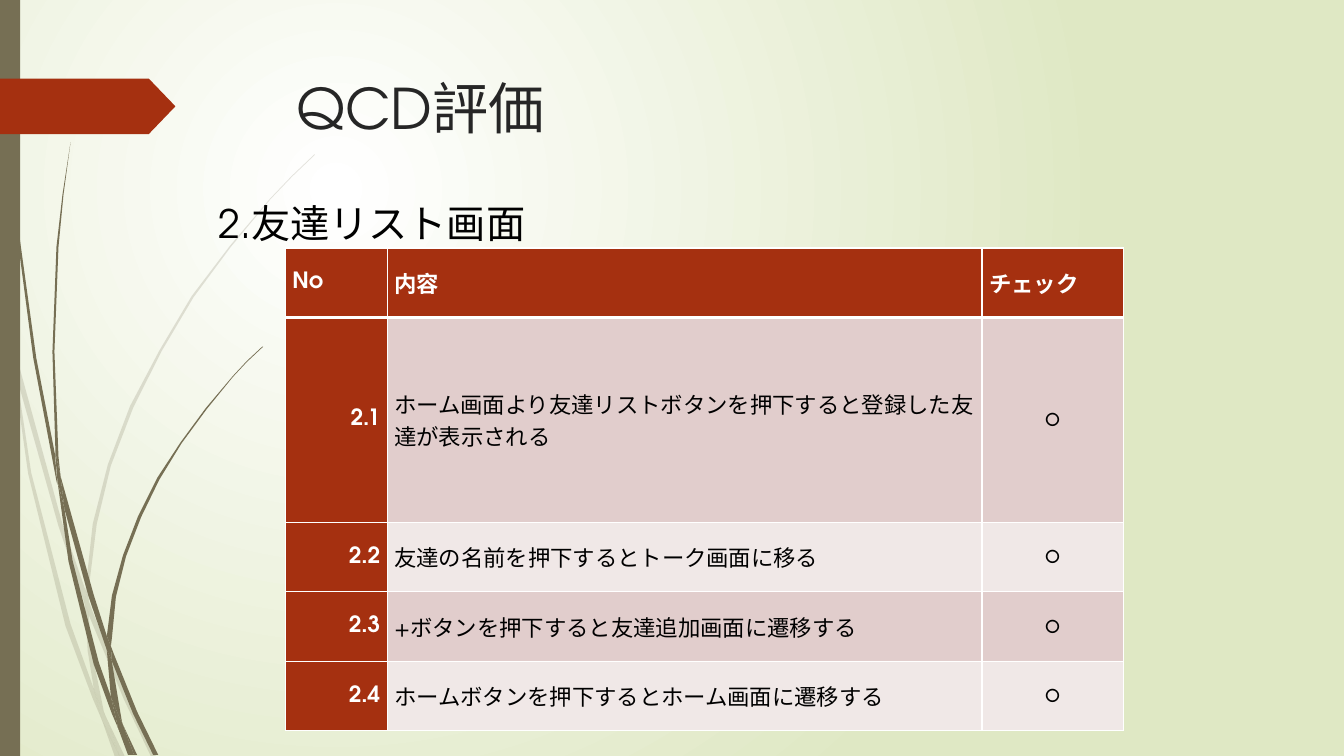
from lxml.etree import SubElement
from pptx import Presentation
from pptx.dml.color import RGBColor
from pptx.enum.shapes import MSO_SHAPE
from pptx.enum.text import MSO_ANCHOR, PP_ALIGN
from pptx.oxml.ns import qn
from pptx.util import Inches, Pt

FONT = "TeX Gyre Adventor"
WHITE = RGBColor(0xFF, 0xFF, 0xFF)
BLACK = RGBColor(0, 0, 0)
TITLE_GREY = RGBColor(0x26, 0x26, 0x26)
PALE_GREEN = RGBColor(0xDF, 0xE8, 0xC4)
OLIVE = RGBColor(0x76, 0x6F, 0x54)
RUST = RGBColor(0xA5, 0x30, 0x10)
BANDS = [RGBColor(0xE1, 0xCD, 0xCC), RGBColor(0xF0, 0xE8, 0xE7)]

# Outlines of the grass blades, in inches
PALE_BLADES = [
    [(0.11, 3.5), (0.09, 3.22), (0, 2.82), (0, 2.99), (0.1, 3.44)],
    [(0.58, 5.22), (0.84, 5.99), (0.85, 5.86), (0.62, 5.2), (0.14, 3.45), (0.17, 3.76)],
    [(0.92, 6.07), (0.88, 5.96), (0.88, 6.1), (1.23, 6.94), (1.5, 7.51), (1.55, 7.51),
     (1.27, 6.92)],
    [(1.19, 7.51), (1.24, 7.51), (1.05, 7.11)],
    [(0.93, 6.83), (0.7, 6.19), (0.31, 4.69), (0.17, 3.76), (0.11, 3.5), (0.28, 4.7),
     (0.65, 6.21), (0.92, 6.93), (1.01, 7.14), (0.99, 7.07)],
    [(0.84, 5.99), (0.87, 6.46), (0.93, 6.83), (0.96, 6.92), (1.05, 7.11), (1.03, 7.06),
     (0.91, 6.46), (0.88, 6.1), (0.88, 6.08)],
    [(0.88, 5.84), (0.96, 5.2), (1.1, 4.62), (1.32, 4.05), (1.6, 3.49), (1.92, 2.95),
     (2.29, 2.45), (2.68, 1.98), (2.9, 1.75), (3.12, 1.54), (3.12, 1.53), (2.89, 1.75),
     (2.68, 1.97), (2.28, 2.44), (1.9, 2.94), (1.58, 3.48), (1.29, 4.03), (1.07, 4.61),
     (0.92, 5.2), (0.85, 5.84), (0.85, 5.86), (0.88, 5.96)],
    [(1.01, 7.14), (1.14, 7.51), (1.19, 7.51)],
    [(0.88, 6.08), (0.88, 6.1), (0.88, 5.96), (0.85, 5.86), (0.84, 5.99)],
    [(0.96, 6.92), (0.93, 6.83), (0.99, 7.07), (1.01, 7.14), (1.19, 7.51), (1.05, 7.11)],
]
DARK_BLADES = [
    [(0.07, 1.1), (0.17, 2.33), (0.33, 3.55), (0.56, 4.77), (0.57, 4.81), (0.55, 4.57),
     (0.55, 4.53), (0.36, 3.55), (0.19, 2.32), (0.08, 1.09), (0.05, 0.48), (0.04, 0),
     (0.03, 0), (0.04, 0.48)],
    [(0.88, 5.92), (1.06, 6.45), (1.06, 6.33), (1.06, 6.31), (0.93, 5.9), (0.6, 4.72),
     (0.64, 5.05)],
    [(1.13, 6.49), (1.1, 6.41), (1.11, 6.56), (1.32, 7.08), (1.52, 7.49), (1.57, 7.49),
     (1.36, 7.06)],
    [(1.1, 6.91), (0.98, 6.57), (0.72, 5.56), (0.64, 5.05), (0.57, 4.77), (0.68, 5.57),
     (0.93, 6.59), (1.11, 7.08), (1.17, 7.22), (1.16, 7.17)],
    [(0.6, 4.72), (0.58, 4.53), (0.54, 3.49), (0.58, 2.45), (0.63, 1.93), (0.7, 1.41),
     (0.62, 1.93), (0.56, 2.45), (0.52, 3.49), (0.55, 4.49)],
    [(1.33, 7.49), (1.36, 7.49), (1.22, 7.19)],
    [(0.57, 4.77), (0.64, 5.05), (0.6, 4.72), (0.55, 4.49), (0.55, 4.53)],
    [(1.11, 6.33), (1.15, 5.92), (1.25, 5.52), (1.4, 5.13), (1.58, 4.76), (1.8, 4.4),
     (2.05, 4.06), (2.31, 3.74), (2.45, 3.59), (2.61, 3.44), (2.6, 3.44), (2.45, 3.58),
     (2.31, 3.73), (2.04, 4.05), (1.79, 4.39), (1.56, 4.74), (1.37, 5.12), (1.22, 5.51),
     (1.11, 5.91), (1.06, 6.31), (1.1, 6.41)],
    [(1.17, 7.22), (1.27, 7.49), (1.31, 7.49)],
    [(1.06, 6.45), (1.1, 6.91), (1.16, 7.06), (1.22, 7.19), (1.21, 7.16), (1.11, 6.56),
     (1.09, 6.51)],
    [(1.06, 6.45), (1.09, 6.51), (1.11, 6.56), (1.1, 6.41), (1.06, 6.31), (1.06, 6.33)],
    [(1.16, 7.06), (1.1, 6.91), (1.16, 7.17), (1.17, 7.22), (1.3, 7.49), (1.33, 7.49),
     (1.22, 7.19)],
]

COLUMN_WIDTHS = [1.01, 5.9, 1.4]
ROW_HEIGHTS = [0.69, 2.03, 0.69, 0.69, 0.69]
HEADINGS = ["No", "内容", "チェック"]
CHECKS = [
    "ホーム画面より友達リストボタンを押下すると登録した友達が表示される",
    "友達の名前を押下するとトーク画面に移る",
    "+ボタンを押下すると友達追加画面に遷移する",
    "ホームボタンを押下するとホーム画面に遷移する",
]


def set_background(slide):
    fill = slide.background.fill
    fill.gradient()
    for stop, color in zip(fill.gradient_stops, [WHITE, PALE_GREEN]):
        stop.color.rgb = color
    gradient = slide.element.find(".//" + qn("a:gradFill"))
    gradient.remove(gradient.find(qn("a:lin")))
    circle = SubElement(gradient, qn("a:path"), path="circle")
    SubElement(circle, qn("a:fillToRect"), l="50000", t="50000", r="100000", b="100000")


def paint(shape, color):
    shape.shadow.inherit = False
    shape.fill.solid()
    shape.fill.fore_color.rgb = color
    shape.line.fill.background()


def add_grass(slide, blades, opacity=100):
    group = slide.shapes.add_group_shape()
    for points in blades:
        outline = [(Inches(x), Inches(y)) for x, y in points]
        builder = group.shapes.build_freeform(*outline[0])
        builder.add_line_segments(outline[1:], close=True)
        blade = builder.convert_to_shape()
        paint(blade, OLIVE)
        if opacity < 100:
            color = blade.element.spPr.find(qn("a:solidFill"))[0]
            SubElement(color, qn("a:alpha"), val=str(opacity * 1000))


def add_block(slide, kind, left, top, width, height, color):
    block = slide.shapes.add_shape(kind, Inches(left), Inches(top), Inches(width), Inches(height))
    paint(block, color)
    return block


def write(text_frame, text, size, color, bold=False, align=PP_ALIGN.LEFT):
    text_frame.text = text
    text_frame.word_wrap = True
    paragraph = text_frame.paragraphs[0]
    paragraph.alignment = align
    font = paragraph.runs[0].font
    font.name, font.size, font.bold = FONT, Pt(size), bold
    font.color.rgb = color


def add_text(slide, text, left, top, width, height, size, color, anchor):
    box = slide.shapes.add_textbox(Inches(left), Inches(top), Inches(width), Inches(height))
    write(box.text_frame, text, size, color)
    box.text_frame.vertical_anchor = anchor


def add_borders(cell, widths):
    properties = cell._tc.get_or_add_tcPr()
    for side, width in widths.items():
        line = SubElement(properties, qn("a:ln" + side), w=str(Pt(width)))
        SubElement(SubElement(line, qn("a:solidFill")), qn("a:srgbClr"), val=str(WHITE))


def add_check_table(slide):
    rows = [HEADINGS] + [[f"2.{number}", check, "○"] for number, check in enumerate(CHECKS, 1)]
    table = slide.shapes.add_table(
        len(rows), len(HEADINGS), Inches(2.83), Inches(2.46),
        Inches(sum(COLUMN_WIDTHS)), Inches(sum(ROW_HEIGHTS))).table
    for column, width in zip(table.columns, COLUMN_WIDTHS):
        column.width = Inches(width)
    for row, height in zip(table.rows, ROW_HEIGHTS):
        row.height = Inches(height)
    alignments = [PP_ALIGN.RIGHT, PP_ALIGN.LEFT, PP_ALIGN.CENTER]
    for i, texts in enumerate(rows):
        for j, text in enumerate(texts):
            cell = table.cell(i, j)
            heading = i == 0 or j == 0
            add_borders(cell, {"L": 1, "R": 1, "T": 3 if i == 1 else 1, "B": 3 if i == 0 else 1})
            cell.fill.solid()
            cell.fill.fore_color.rgb = RUST if heading else BANDS[(i - 1) % 2]
            cell.vertical_anchor = MSO_ANCHOR.MIDDLE
            cell.margin_left = cell.margin_right = Inches(0.07)
            cell.margin_top = cell.margin_bottom = 0
            write(cell.text_frame, text, 16, WHITE if heading else BLACK, heading,
                  alignments[j] if i else PP_ALIGN.LEFT)


def main():
    presentation = Presentation()
    presentation.slide_width, presentation.slide_height = Inches(13.33), Inches(7.5)
    slide = presentation.slides.add_slide(presentation.slide_layouts[6])

    # Background and grass
    set_background(slide)
    add_grass(slide, PALE_BLADES, opacity=20)
    add_grass(slide, DARK_BLADES)

    # Side bar and arrow tab
    add_block(slide, MSO_SHAPE.RECTANGLE, 0, 0, 0.2, 7.5, OLIVE)
    tab = add_block(slide, MSO_SHAPE.PENTAGON, 0, 0.78, 1.74, 0.55, RUST)
    tab.adjustments[0] = 0.48

    # Title, table and section heading
    add_text(slide, "QCD評価", 2.84, 0.68, 9.75, 1.4, 40, TITLE_GREY, MSO_ANCHOR.TOP)
    add_check_table(slide)
    add_text(slide, "2.友達リスト画面", 2.07, 1.97, 4.56, 0.49, 28, BLACK, MSO_ANCHOR.MIDDLE)

    presentation.save("out.pptx")


if __name__ == "__main__":
    main()
